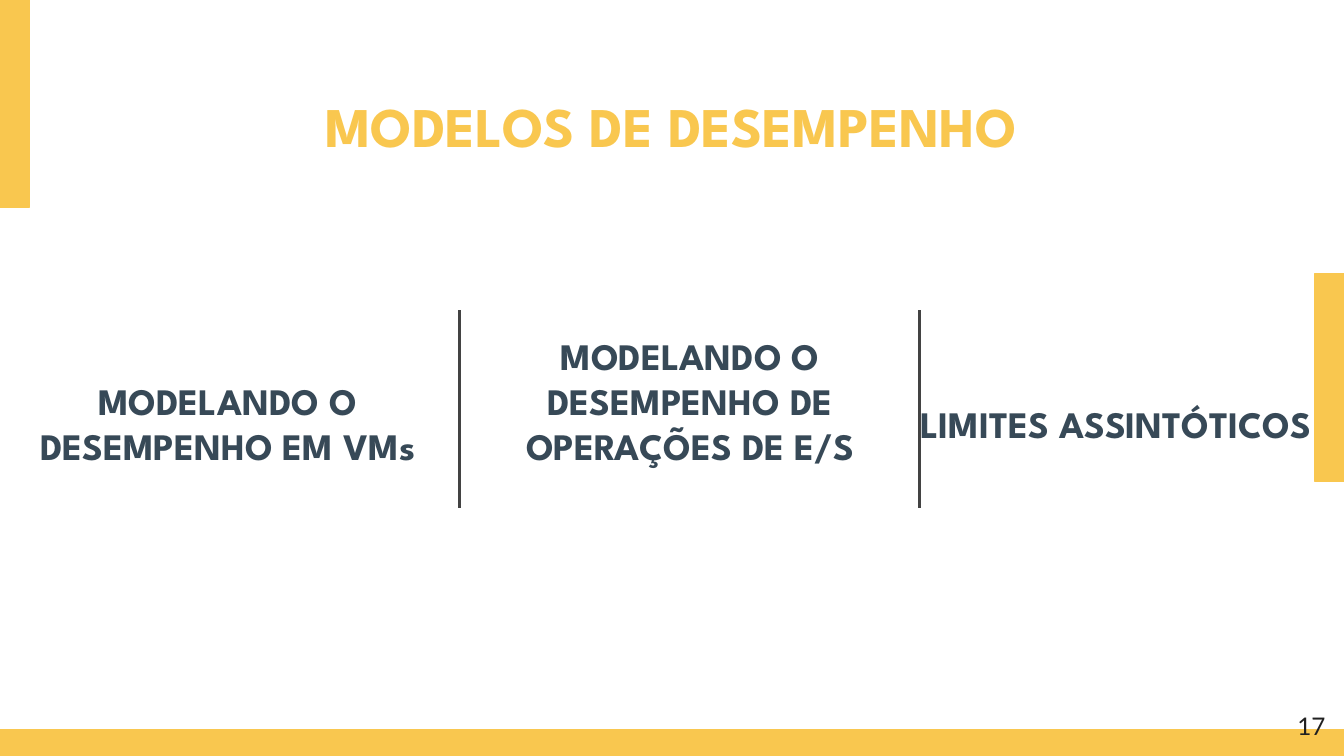
from typing import NamedTuple

from lxml import etree
from pptx import Presentation
from pptx import util as u
from pptx.dml.color import RGBColor
from pptx.enum import shapes, text
from pptx.oxml.ns import qn

YELLOW, SLATE, GREY, BLACK = "F9C74F", "374957", "434343", "212121"
HEADING_FONT = "League Spartan"


class Box(NamedTuple):
    left: float
    top: float
    width: float
    height: float

    def lengths(self) -> list[u.Length]:
        return [u.Inches(value) for value in self]


class Topic(NamedTuple):
    label: str
    box: Box


class Bar(NamedTuple):
    box: Box
    rotation: float = 0


BARS = [
    Bar(Box(9.78, 2.04, 0.22, 1.54)),
    Bar(Box(0, 0, 0.22, 1.54)),
    Bar(Box(4.89, 0.54, 0.22, 10), rotation=90),
]
TOPICS = [
    Topic("MODELANDO O DESEMPENHO EM VMs", Box(0.11, 2.42, 3.17, 1.26)),
    Topic("MODELANDO O DESEMPENHO DE OPERAÇÕES DE E/S", Box(3.55, 2.42, 3.17, 1.26)),
    Topic("LIMITES ASSINTÓTICOS", Box(6.72, 2.57, 3.17, 0.95)),
]
DIVIDERS = [3.42, 6.84]


def color(value: str) -> RGBColor:
    return RGBColor.from_string(value)


def add_text(slide, words: str, box: Box, *, size: float, ink: str,
             font: str = HEADING_FONT, bold: bool = True,
             align=text.PP_ALIGN.CENTER, anchor=text.MSO_ANCHOR.MIDDLE,
             bottom: float = 0.1) -> None:
    frame = slide.shapes.add_textbox(*box.lengths()).text_frame
    frame.word_wrap = True
    frame.vertical_anchor = anchor
    frame.margin_left = frame.margin_right = frame.margin_top = u.Inches(0.1)
    frame.margin_bottom = u.Inches(bottom)
    paragraph = frame.paragraphs[0]
    paragraph.alignment = align
    run = paragraph.add_run()
    run.text = words
    run.font.name = font
    run.font.size = u.Pt(size)
    run.font.bold = bold
    run.font.color.rgb = color(ink)


def add_bar(slide, bar: Bar) -> None:
    band = slide.shapes.add_shape(shapes.MSO_SHAPE.RECTANGLE, *bar.box.lengths())
    band.rotation = bar.rotation
    band.shadow.inherit = False
    band.fill.solid()
    band.fill.fore_color.rgb = color(YELLOW)
    band.line.color.rgb = color(YELLOW)
    band.line.width = u.Pt(0.75)


def add_divider(slide, x: float) -> None:
    divider = slide.shapes.add_connector(
        shapes.MSO_CONNECTOR.STRAIGHT,
        u.Inches(x), u.Inches(2.31), u.Inches(x), u.Inches(3.78))
    divider.line.color.rgb = color(GREY)
    divider.line.width = u.Pt(1.5)
    etree.SubElement(divider._element.spPr, qn("a:effectLst"))


def main() -> None:
    """Build the section slide on performance models."""
    deck = Presentation()
    deck.slide_width = u.Inches(10)
    deck.slide_height = u.Inches(10 * 9 / 16)
    slide = deck.slides.add_slide(deck.slide_layouts[6])
    add_text(slide, "MODELOS DE DESEMPENHO", Box(1.75, 0.54, 6.49, 0.78),
             size=30, ink=YELLOW)
    for bar in BARS:
        add_bar(slide, bar)
    for x in DIVIDERS:
        add_divider(slide, x)
    for topic in TOPICS:
        add_text(slide, topic.label, topic.box, size=20, ink=SLATE,
                 anchor=text.MSO_ANCHOR.BOTTOM, bottom=0.2)
    add_text(slide, "17", Box(9.36, 5.19, 0.6, 0.43), size=13, ink=BLACK,
             font="Lato", bold=False, align=text.PP_ALIGN.RIGHT,
             anchor=text.MSO_ANCHOR.TOP)
    deck.save("out.pptx")


if __name__ == "__main__":
    main()
